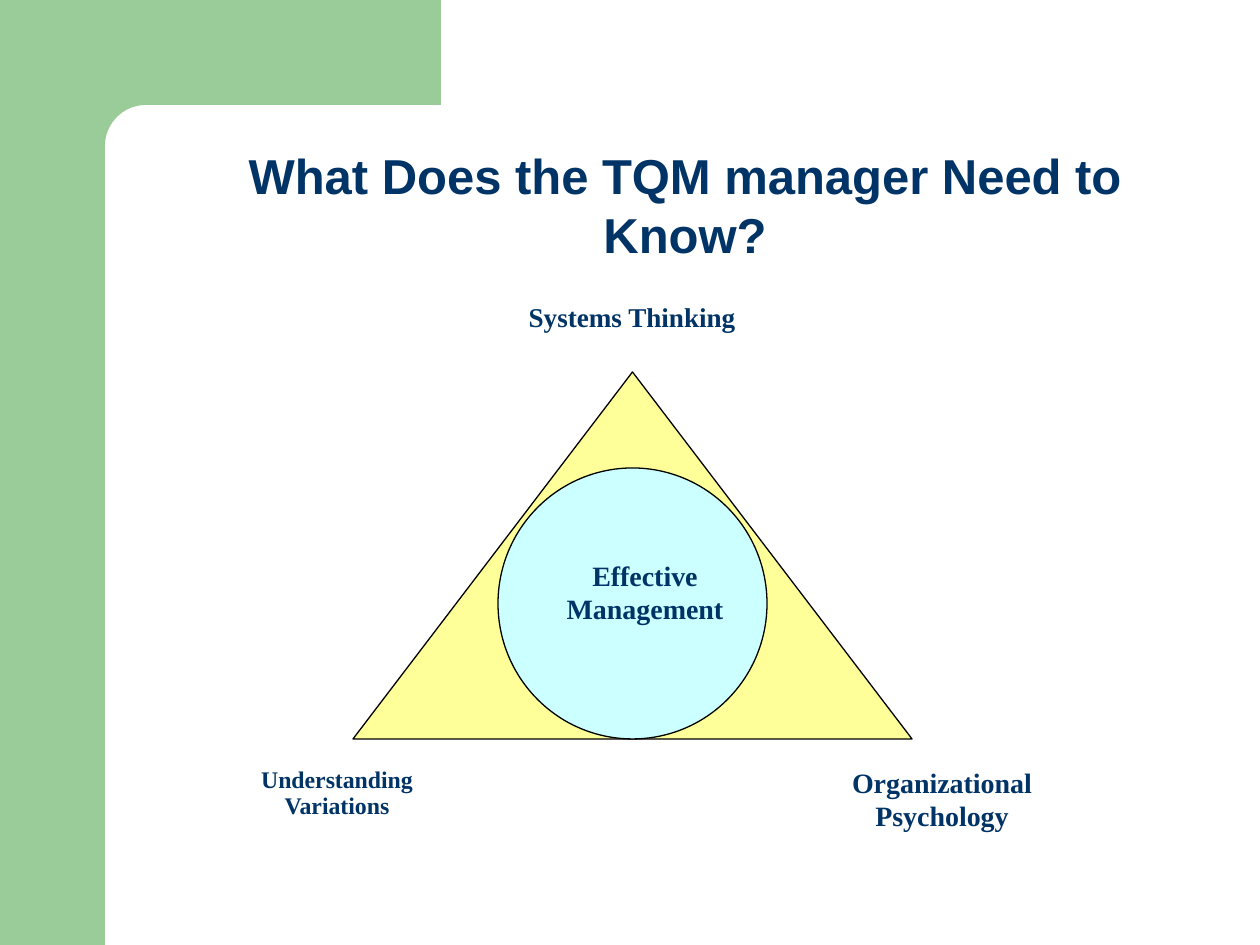
import math
from pptx import Presentation
from pptx import util as u
from pptx.dml.color import RGBColor
from pptx.enum import shapes, text

PX = 914400 / 126
GREEN = RGBColor(0x99, 0xCC, 0x99)
YELLOW = RGBColor(0xFF, 0xFF, 0x99)
CYAN = RGBColor(0xCC, 0xFF, 0xFF)
NAVY = RGBColor(0x00, 0x33, 0x66)
WHITE = RGBColor(0xFF, 0xFF, 0xFF)
BLACK = RGBColor(0x00, 0x00, 0x00)
SHAPE = shapes.MSO_SHAPE


def px(n):
    return u.Emu(round(n * PX))


def paint(sp, fill, line=None):
    sp.shadow.inherit = False
    sp.fill.solid()
    sp.fill.fore_color.rgb = fill
    if line is None:
        sp.line.fill.background()
    else:
        sp.line.color.rgb = line
        sp.line.width = u.Pt(0.75)


def add_shape(parent, kind, box, fill, line=None):
    sp = parent.add_shape(kind, *map(px, box))
    paint(sp, fill, line)
    return sp


def write(sp, runs, size=16, font="Times New Roman", spacing=1.0):
    tf = sp.text_frame
    tf.word_wrap = True
    tf.auto_size = text.MSO_AUTO_SIZE.NONE
    tf.vertical_anchor = text.MSO_ANCHOR.TOP
    tf.margin_left = tf.margin_right = u.Inches(0.1)
    tf.margin_top = tf.margin_bottom = u.Inches(0.05)
    p = tf.paragraphs[0]
    p.alignment = text.PP_ALIGN.CENTER
    p.line_spacing = spacing
    for words in runs:
        r = p.add_run()
        r.text = words
        r.font.name = font
        r.font.bold = bool(words.strip())
        r.font.size = u.Pt(size if r.font.bold else 10.2)
        r.font.color.rgb = NAVY


def add_label(parent, box, runs, fill=WHITE, **fmt):
    write(add_shape(parent, SHAPE.RECTANGLE, box, fill), runs, **fmt)


def add_frame(s, box):
    x, y, w, h = box
    bar, right, bottom, radius = 105, 441, 161, 41
    add_shape(s.shapes, SHAPE.RECTANGLE, (x, y, bar, h), GREEN)
    angles = [math.radians(a) for a in range(0, 91, 5)]
    curve = [(x + bar + radius * (1 - math.sin(a)),
              y + bar + radius * (1 - math.cos(a))) for a in angles]
    points = [(x + right, y + bar), *curve, (x + bar, y + bottom),
              (x + 63, y + bottom), (x + 63, y)]
    fb = s.shapes.build_freeform(px(x + right), px(y), scale=1.0)
    fb.add_line_segments([(px(a), px(b)) for a, b in points], close=True)
    paint(fb.convert_to_shape(), GREEN)


def add_title(s, box):
    sp = s.shapes.title
    sp.left, sp.top, sp.width, sp.height = map(px, box)
    write(sp, ["What Does the TQM manager Need to Know?"], size=28, font="Arial")


def add_diagram(s, box):
    x, y, w, h = box
    add_shape(s.shapes, SHAPE.ISOSCELES_TRIANGLE, (x + 120, y + 71, 559, 367),
              YELLOW, BLACK)
    add_label(s.shapes, (x + 248, y, 302, 48), ["Systems Thinking"],
              size=15.5, spacing=0.8)
    core = s.shapes.add_group_shape().shapes
    add_shape(core, SHAPE.OVAL, (x + 265, y + 167, 269, 271), CYAN, BLACK)
    add_label(core, (x + 308, y + 251, 208, 117), ["Effective Management"],
              fill=CYAN)
    add_label(s.shapes, (x, y + 461, 208, 74),
              ["Understanding", " ", "Variations"], size=13.6, spacing=0.9)
    add_label(s.shapes, (x + w - 208, y + 458, 208, 91),
              ["Organizational Psychology"])


def main():
    prs = Presentation()
    prs.slide_width, prs.slide_height = px(1260), px(945)
    s = prs.slides.add_slide(prs.slide_layouts[5])
    add_frame(s, (0, 0, 1260, 945))
    add_title(s, (174, 139, 1022, 131))
    add_diagram(s, (233, 301, 813, 549))
    prs.save("out.pptx")


if __name__ == "__main__":
    main()
